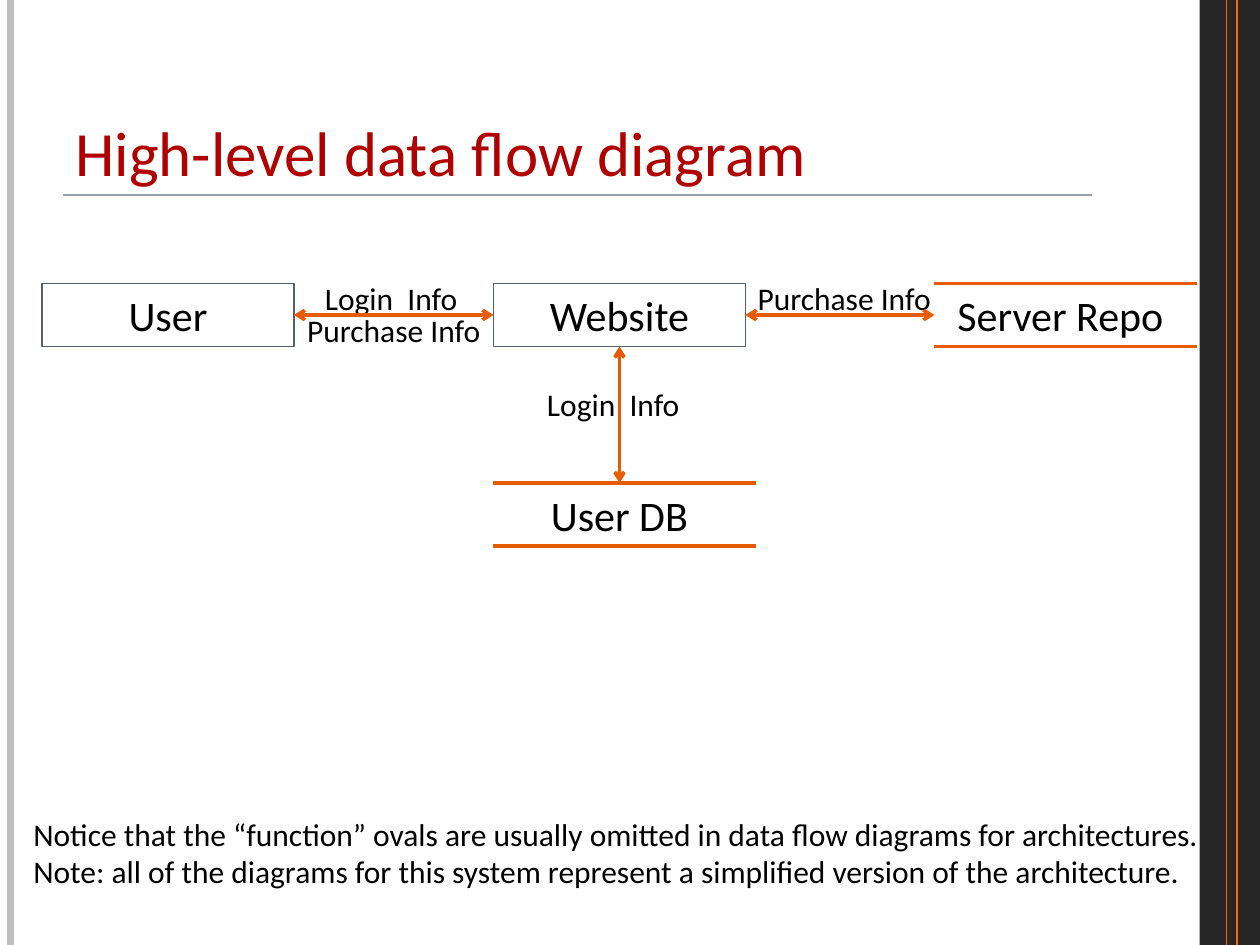
"""Build the high-level data flow diagram slide on a grid of twelfths of an inch."""
from dataclasses import dataclass

import pptx
import pptx.dml.color
import pptx.enum.shapes
import pptx.enum.text
import pptx.oxml
import pptx.oxml.ns
import pptx.util
from lxml import etree

ALIGN = pptx.enum.text.PP_ALIGN
ANCHOR = pptx.enum.text.MSO_ANCHOR
COLUMNS, ROWS = 120, 90
BOX_COLUMNS, BOX_ROWS, STORE_COLUMNS = 24, 6, 25
LABEL_COLUMNS, LABEL_ROWS = 20, 4.8
TOP, LEFT, BOTTOM, RIGHT = range(4)


@dataclass(frozen=True)
class Theme:
    """Colours, font and type sizes of the slide."""
    font: str = "Calibri"
    text: str = "000000"
    title: str = "B00000"
    accent: str = "E75C01"
    stripe: str = "FF6600"
    band: str = "262626"
    bar: str = "BFBFBF"
    rule: str = "969EAB"
    outline: str = "575F6D"
    paper: str = "FFFFFF"
    title_size: int = 36
    box_size: int = 24
    label_size: int = 18


@dataclass(frozen=True)
class Node:
    """A box of the diagram, either an entity or a data store."""
    name: str
    column: float
    row: float
    is_store: bool = False


@dataclass(frozen=True)
class Flow:
    """A two-way arrow between the sides of two boxes."""
    start: str
    start_side: int
    end: str
    end_side: int


@dataclass(frozen=True)
class Label:
    """The name of a flow, centred on a column."""
    text: str
    centre: float
    row: float


@dataclass(frozen=True)
class Rule:
    """A straight decorative line."""
    start: tuple[float, float]
    end: tuple[float, float]
    color: str
    width: float


THEME = Theme()
NODES = [
    Node("User", 4, 27),
    Node("Website", 47, 27),
    Node("Server Repo", 89, 27, is_store=True),
    Node("User DB", 47, 46, is_store=True),
]
FLOWS = [
    Flow("User", RIGHT, "Website", LEFT),
    Flow("Website", RIGHT, "Server Repo", LEFT),
    Flow("Website", BOTTOM, "User DB", TOP),
]
LABELS = [
    Label("Login  Info", 37.25, 26),
    Label("Purchase Info", 37.5, 29),
    Label("Purchase Info", 80.4, 26),
    Label("Login  Info", 58.4, 36.1),
]
RULES = [
    Rule((1, 0), (1, ROWS), THEME.bar, 4.5),
    Rule((116.8, 0), (116.8, ROWS), THEME.stripe, 0.75),
    Rule((117.8, 0), (117.8, ROWS), THEME.stripe, 0.75),
    Rule((6, 18.6), (104, 18.6), THEME.rule, 1),
]
NOTE = (
    "Notice that the “function” ovals are usually omitted in data flow diagrams for architectures.\v"
    "Note: all of the diagrams for this system represent a simplified version of the architecture."
)


def grid(units: float) -> int:
    """Turn grid units into a length."""
    return pptx.util.Inches(units / 12)


def rgb(color: str) -> pptx.dml.color.RGBColor:
    """Turn a hexadecimal string into a colour."""
    return pptx.dml.color.RGBColor.from_string(color)


def write(shape, text: str, size: int, color: str = THEME.text, align=ALIGN.CENTER, anchor=ANCHOR.TOP) -> None:
    """Put styled text into a shape."""
    frame = shape.text_frame
    frame.word_wrap = True
    frame.vertical_anchor = anchor
    frame.text = text
    for paragraph in frame.paragraphs:
        paragraph.alignment = align
        for run in paragraph.runs:
            run.font.name = THEME.font
            run.font.size = pptx.util.Pt(size)
            run.font.color.rgb = rgb(color)


def add_text(slide, column: float, row: float, columns: float, rows: float, text: str, size: int, **style) -> None:
    """Add a text box placed on the grid."""
    box = slide.shapes.add_textbox(grid(column), grid(row), grid(columns), grid(rows))
    write(box, text, size, **style)


def add_rectangle(slide, column: float, row: float, columns: float, rows: float, fill: str):
    """Add a flat rectangle without an outline."""
    kind = pptx.enum.shapes.MSO_SHAPE.RECTANGLE
    shape = slide.shapes.add_shape(kind, grid(column), grid(row), grid(columns), grid(rows))
    shape.shadow.inherit = False
    shape.fill.solid()
    shape.fill.fore_color.rgb = rgb(fill)
    shape.line.fill.background()
    return shape


def add_line(slide, rule: Rule):
    """Add a straight connector without a shadow."""
    kind = pptx.enum.shapes.MSO_CONNECTOR.STRAIGHT
    line = slide.shapes.add_connector(kind, *map(grid, rule.start + rule.end))
    line.line.color.rgb = rgb(rule.color)
    line.line.width = pptx.util.Pt(rule.width)
    etree.SubElement(line._element.spPr, pptx.oxml.ns.qn("a:effectLst"))
    return line


def add_node(slide, node: Node):
    """Add an outlined entity, or a data store between two lines."""
    shape = add_rectangle(slide, node.column, node.row, BOX_COLUMNS, BOX_ROWS, THEME.paper)
    write(shape, node.name, THEME.box_size, anchor=ANCHOR.MIDDLE)
    if node.is_store:
        for row in (node.row, node.row + BOX_ROWS):
            add_line(slide, Rule((node.column, row), (node.column + STORE_COLUMNS, row), THEME.accent, 2))
    else:
        shape.line.color.rgb = rgb(THEME.outline)
        shape.line.width = pptx.util.Pt(0.75)
    return shape


def add_flow(slide, flow: Flow, boxes: dict) -> None:
    """Join two boxes with a double-headed arrow."""
    arrow = add_line(slide, Rule((0, 0), (0, 0), THEME.accent, 2))
    arrow.begin_connect(boxes[flow.start], flow.start_side)
    arrow.end_connect(boxes[flow.end], flow.end_side)
    for end in ("a:headEnd", "a:tailEnd"):
        etree.SubElement(arrow.line._get_or_add_ln(), pptx.oxml.ns.qn(end), type="arrow")


def main() -> None:
    """Build and save the slide."""
    presentation = pptx.Presentation()
    presentation.slide_width, presentation.slide_height = grid(COLUMNS), grid(ROWS)
    slide = presentation.slides.add_slide(presentation.slide_layouts[6])

    add_rectangle(slide, 114.24, 0, COLUMNS - 114.24, ROWS, THEME.band)
    for rule in RULES:
        add_line(slide, rule)
    add_text(slide, 6, 3.6, 98, 15, "High-level data flow diagram", THEME.title_size,
             color=THEME.title, align=ALIGN.LEFT, anchor=ANCHOR.BOTTOM)
    for label in LABELS:
        add_text(slide, label.centre - LABEL_COLUMNS / 2, label.row, LABEL_COLUMNS, LABEL_ROWS,
                 label.text, THEME.label_size)
    boxes = {node.name: add_node(slide, node) for node in NODES}
    for flow in FLOWS:
        add_flow(slide, flow, boxes)
    add_text(slide, 2, 77, 115, 8.5, NOTE, THEME.label_size, align=ALIGN.LEFT)
    presentation.save("out.pptx")


if __name__ == "__main__":
    main()
